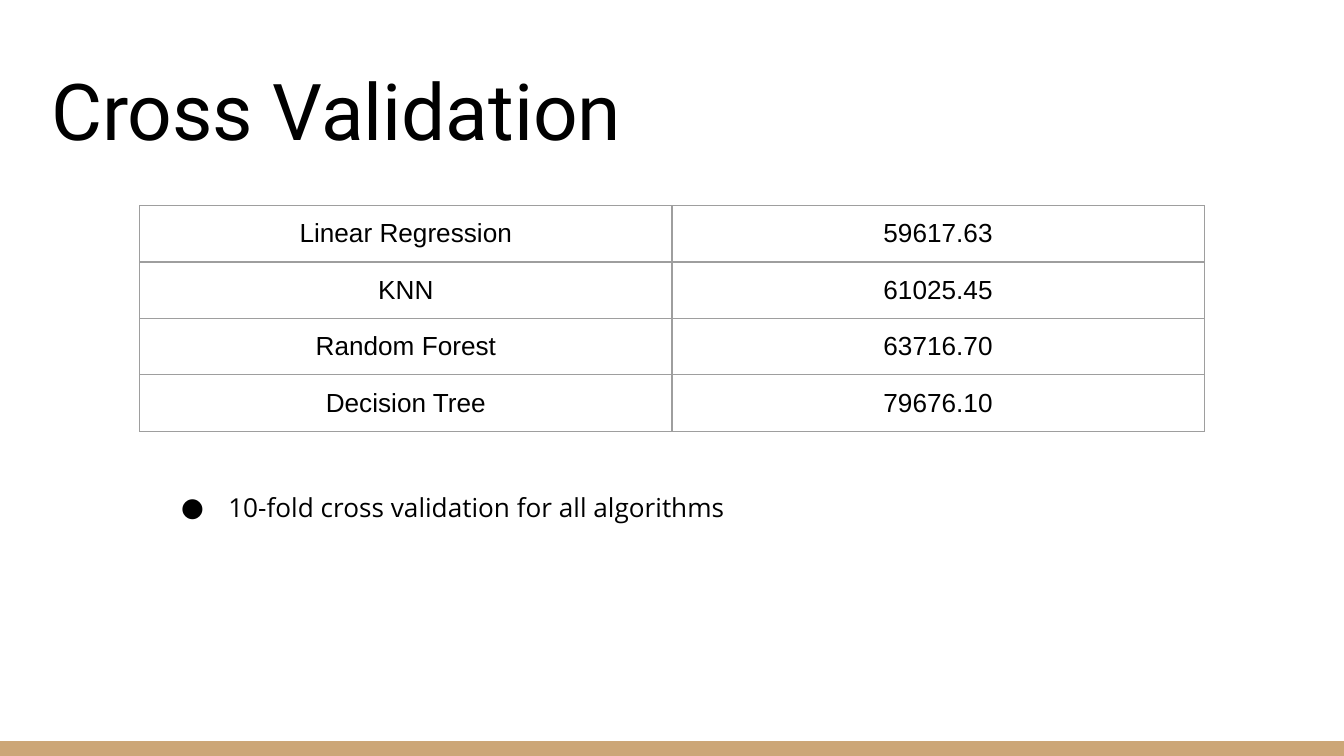
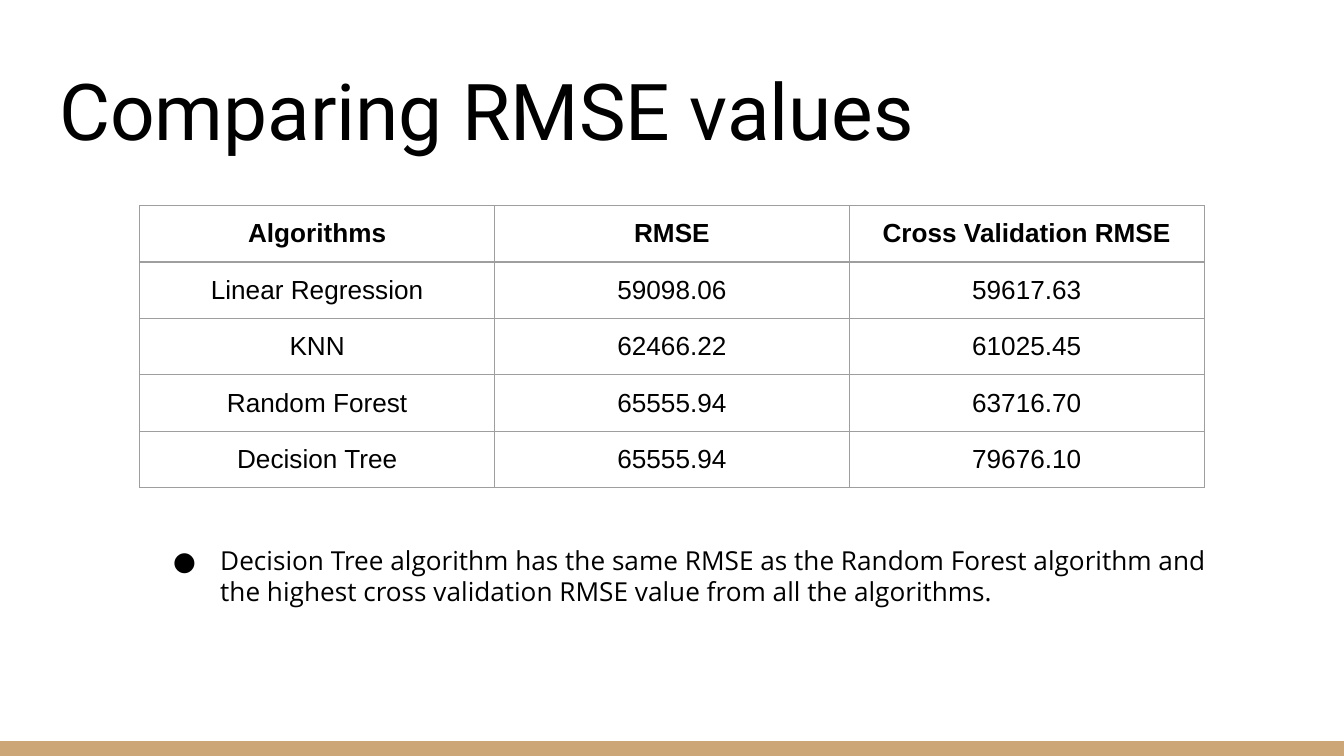
import pptx
import pptx.util
import pptx.dml.color
import pptx.enum.shapes
import pptx.enum.text
import pptx.oxml.ns
from lxml import etree

Inches = pptx.util.Inches
Pt = pptx.util.Pt

# Shared look
BLACK = "000000"
WHITE = "FFFFFF"
TAN = "CCA677"
GRID = "9E9E9E"
TITLE_FONT, TABLE_FONT, NOTE_FONT = "Roboto", "Arial", "Open Sans"
SLIDE_W = 10
SLIDE_H = SLIDE_W * 9 / 16
BAND_H = 0.11
TABLE_LEFT, TABLE_TOP, TABLE_W, ROW_H = 1.04, 1.53, 7.92, 0.42
MARGIN = 0.1

# Scores per algorithm: name, RMSE, cross validation RMSE
SCORES = [
    ("Linear Regression", "59098.06", "59617.63"),
    ("KNN", "62466.22", "61025.45"),
    ("Random Forest", "65555.94", "63716.70"),
    ("Decision Tree", "65555.94", "79676.10"),
]


def rgb(value):
    return pptx.dml.color.RGBColor.from_string(value)


def sub(parent, tag, **attributes):
    return etree.SubElement(parent, pptx.oxml.ns.qn(tag), **attributes)


def set_font(text, name, size, bold=False):
    """Format a paragraph or a run."""
    font = text.font
    font.name, font.size, font.bold = name, Pt(size), bold
    font.color.rgb = rgb(BLACK)


def set_margins(holder):
    holder.margin_left = holder.margin_right = Inches(MARGIN)
    holder.margin_top = holder.margin_bottom = Inches(MARGIN)


def add_band(layout, slide):
    """Draw the bottom band and hand it to the layout that all slides share."""
    band = slide.shapes.add_shape(
        pptx.enum.shapes.MSO_SHAPE.RECTANGLE,
        Inches(0), Inches(SLIDE_H - BAND_H), Inches(SLIDE_W), Inches(BAND_H))
    band.shadow.inherit = False
    band.fill.solid()
    band.fill.fore_color.rgb = rgb(TAN)
    band.line.fill.background()
    band.element.nvSpPr.cNvPr.set("id", "100")
    layout.shapes.element.append(band.element)


def add_title(slide, text, left):
    title = slide.shapes.title
    title.left, title.top = Inches(left), Inches(0.35)
    title.width, title.height = Inches(9.32), Inches(0.91)
    frame = title.text_frame
    frame.text = text
    frame.word_wrap = True
    frame.auto_size = pptx.enum.text.MSO_AUTO_SIZE.NONE
    frame.vertical_anchor = pptx.enum.text.MSO_ANCHOR.BOTTOM
    set_margins(frame)
    paragraph = frame.paragraphs[0]
    paragraph.alignment = pptx.enum.text.PP_ALIGN.LEFT
    set_font(paragraph, TITLE_FONT, 42)


def add_borders(cell):
    properties = cell._tc.get_or_add_tcPr()
    for side in ("a:lnL", "a:lnR", "a:lnT", "a:lnB"):
        border = sub(properties, side, w=str(Pt(0.75)))
        sub(sub(border, "a:solidFill"), "a:srgbClr", val=GRID)


def add_score_table(slide, rows, header=False):
    columns = len(rows[0])
    table = slide.shapes.add_table(
        len(rows), columns, Inches(TABLE_LEFT), Inches(TABLE_TOP),
        Inches(TABLE_W), Inches(ROW_H * len(rows))).table
    table.first_row = header
    table.horz_banding = False
    for column in table.columns:
        column.width = Inches(TABLE_W / columns)
    for r, values in enumerate(rows):
        table.rows[r].height = Inches(ROW_H)
        for c, value in enumerate(values):
            cell = table.cell(r, c)
            cell.text = value
            set_margins(cell)
            add_borders(cell)
            cell.fill.background()
            paragraph = cell.text_frame.paragraphs[0]
            paragraph.alignment = pptx.enum.text.PP_ALIGN.CENTER
            set_font(paragraph, TABLE_FONT, 14, bold=header and r == 0)


def add_bullet_note(slide, text, left, top, width, height, spacing=1.0):
    frame = slide.shapes.add_textbox(
        Inches(left), Inches(top), Inches(width), Inches(height)).text_frame
    frame.word_wrap = True
    set_margins(frame)
    frame.text = text
    paragraph = frame.paragraphs[0]
    paragraph.line_spacing = spacing
    # Hanging bullet
    properties = paragraph._p.get_or_add_pPr()
    properties.set("marL", str(Inches(0.5)))
    properties.set("indent", str(Inches(-0.35)))
    sub(sub(properties, "a:buClr"), "a:srgbClr", val=BLACK)
    sub(properties, "a:buFont", typeface=NOTE_FONT)
    sub(properties, "a:buChar", char="●")
    # The bullet takes its size from the run
    set_font(paragraph.runs[0], NOTE_FONT, 14)


def main():
    deck = pptx.Presentation()
    deck.slide_width, deck.slide_height = Inches(SLIDE_W), Inches(SLIDE_H)
    layout = deck.slide_layouts[5]
    layout.background.fill.solid()
    layout.background.fill.fore_color.rgb = rgb(WHITE)

    # Cross validation
    validation = deck.slides.add_slide(layout)
    add_band(layout, validation)
    add_title(validation, "Cross Validation", 0.28)
    add_score_table(validation, [(name, cross) for name, _, cross in SCORES])
    add_bullet_note(validation, "10-fold cross validation for all algorithms",
                    1.1, 3.52, 7.92, 0.99, spacing=1.15)

    # Comparison of both error values
    comparison = deck.slides.add_slide(layout)
    add_title(comparison, "Comparing RMSE values", 0.34)
    headings = ("Algorithms", "RMSE", "Cross Validation RMSE")
    add_score_table(comparison, [headings] + SCORES, header=True)
    add_bullet_note(
        comparison,
        "Decision Tree algorithm has the same RMSE as the Random Forest "
        "algorithm and the highest cross validation RMSE value from all "
        "the algorithms.",
        1.04, 3.95, 8.09, 1.02)

    deck.save("out.pptx")


if __name__ == "__main__":
    main()
